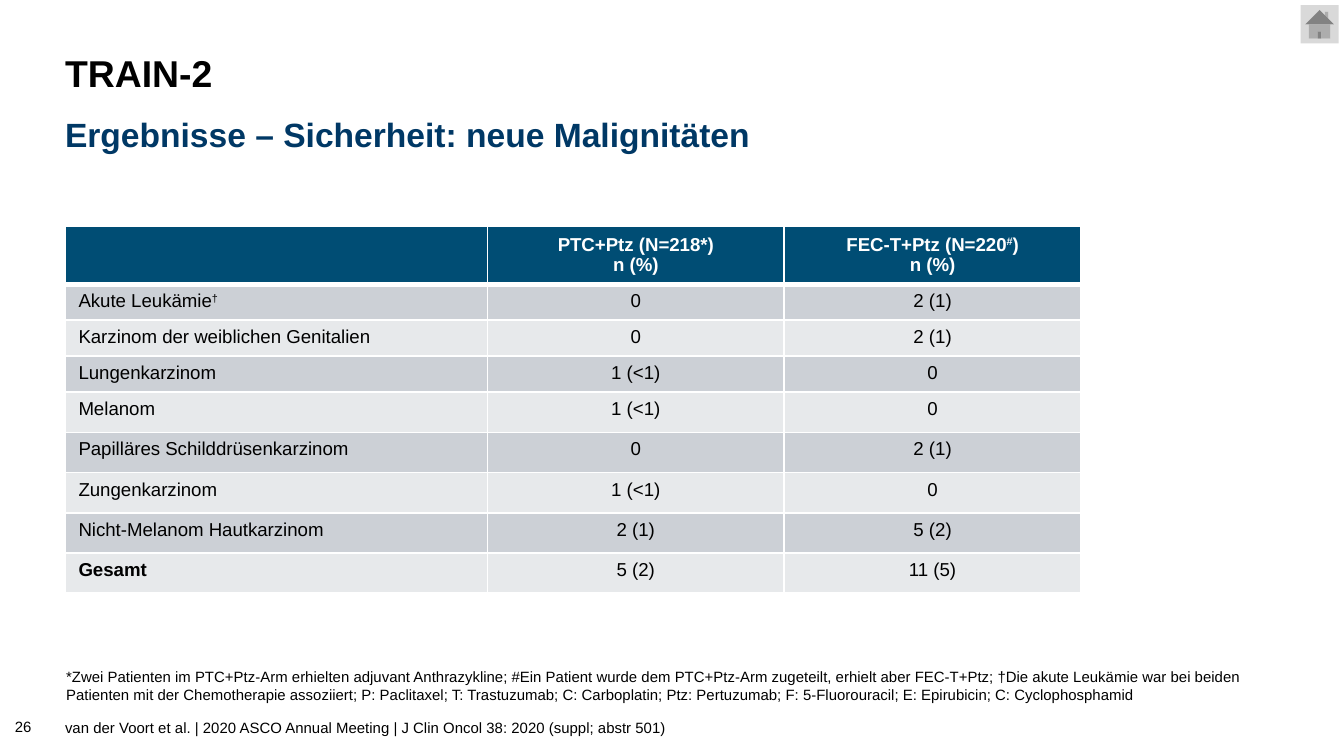
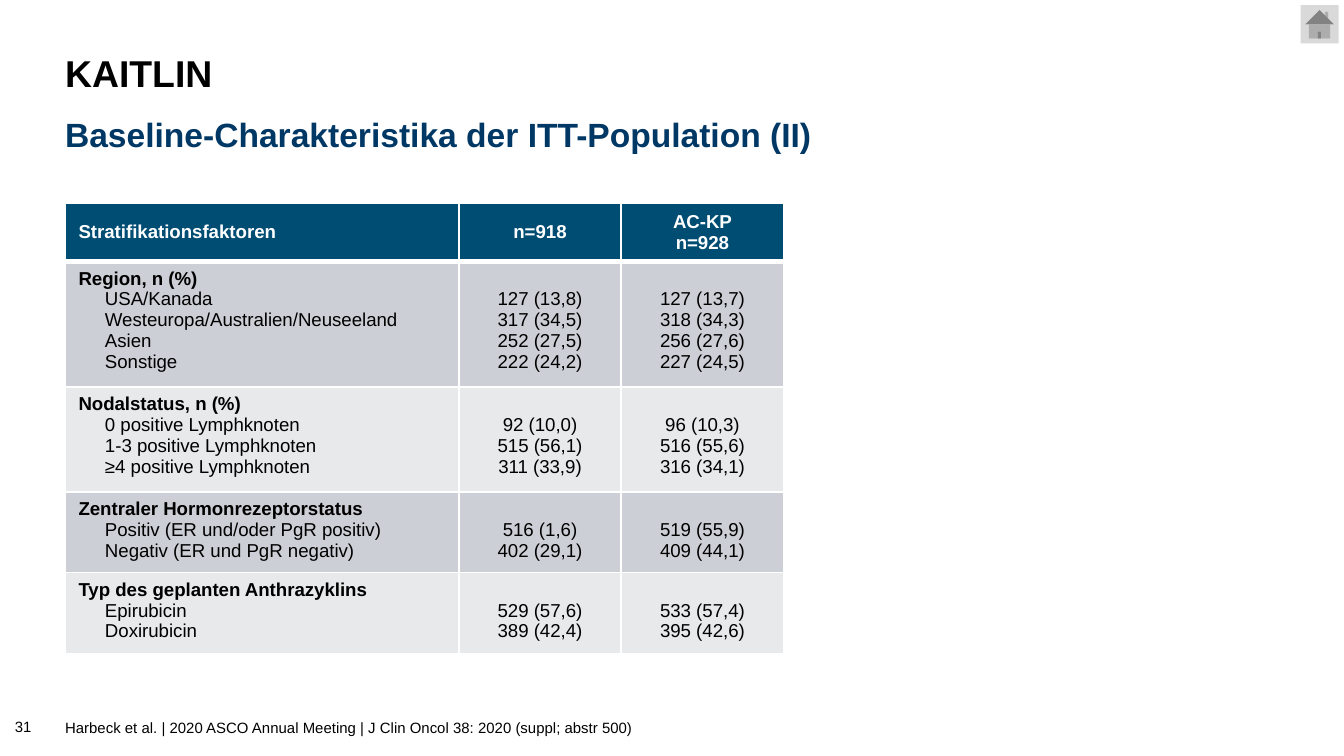
from lxml import etree
from pptx import Presentation
from pptx.dml.color import RGBColor
from pptx.enum.shapes import MSO_SHAPE
from pptx.enum.text import MSO_ANCHOR, PP_ALIGN
from pptx.oxml.ns import qn
from pptx.util import Cm, Pt

HOME = MSO_SHAPE.ACTION_BUTTON_HOME
TOP, MIDDLE, BOTTOM = MSO_ANCHOR.TOP, MSO_ANCHOR.MIDDLE, MSO_ANCHOR.BOTTOM
LEFT, CENTER = PP_ALIGN.LEFT, PP_ALIGN.CENTER

BLACK = RGBColor(0x00, 0x00, 0x00)
WHITE = RGBColor(0xFF, 0xFF, 0xFF)
NAVY = RGBColor(0x00, 0x38, 0x65)
HEADER_BLUE = RGBColor(0x00, 0x4D, 0x74)
BANDS = (RGBColor(0xCC, 0xD0, 0xD6), RGBColor(0xE7, 0xE9, 0xEB))
BUTTON_GREY = RGBColor(0xD9, 0xD9, 0xD9)

FONT = "Arial"
MARGIN = 1.23
CONTENT_WIDTH = 23.01
FRAME_INSETS = (0, 0.13, 0.25, 0.13)
CELL_INSETS = (0.25, 0.13, 0.25, 0.13)
TABLE_SIZE = 10
TABLE_LINE = 0.39


class StudyDeck:
    def __init__(self):
        self.prs = Presentation()
        self.prs.slide_width = Cm(25.4)
        self.prs.slide_height = Cm(14.29)
        self.slide = None

    def new_slide(self, study, topic, source, number):
        self.slide = self.prs.slides.add_slide(self.prs.slide_layouts[6])
        self.home_button()
        title = self.text(study, MARGIN, 0.76, CONTENT_WIDTH, 1.32, 20, bold=True, anchor=MIDDLE)
        title.paragraphs[0].line_spacing = 0.9
        self.text(topic, MARGIN, 2.03, CONTENT_WIDTH, 1, 18, NAVY, True, MIDDLE)
        self.text(source, MARGIN, 13.46, CONTENT_WIDTH, 0.64)
        self.text(number, 0.03, 13.39, 1.09, 0.64, anchor=BOTTOM, insets=CELL_INSETS)

    def home_button(self):
        button = self.slide.shapes.add_shape(HOME, Cm(24.58), Cm(0.1), Cm(0.72), Cm(0.72))
        button.shadow.inherit = False
        button.fill.solid()
        button.fill.fore_color.rgb = BUTTON_GREY
        button.line.fill.background()

    def style(self, paragraph, size, color, bold):
        for run in paragraph.runs:
            run.font.name = FONT
            run.font.size = Pt(size)
            run.font.bold = bold
            run.font.color.rgb = color

    def text(self, words, left, top, width, height, size=8, color=BLACK, bold=False,
             anchor=TOP, insets=FRAME_INSETS):
        frame = self.slide.shapes.add_textbox(Cm(left), Cm(top), Cm(width), Cm(height)).text_frame
        frame.word_wrap = True
        frame.vertical_anchor = anchor
        (frame.margin_left, frame.margin_top,
         frame.margin_right, frame.margin_bottom) = map(Cm, insets)
        frame.text = words
        self.style(frame.paragraphs[0], size, color, bold)
        return frame

    def borders(self, cell, top, bottom):
        properties = cell._tc.get_or_add_tcPr()
        for side, points in (("L", 1), ("R", 1), ("T", top), ("B", bottom)):
            line = etree.SubElement(properties, qn(f"a:ln{side}"), w=str(Pt(points)))
            fill = etree.SubElement(line, qn("a:solidFill"))
            etree.SubElement(fill, qn("a:srgbClr"), val=str(WHITE))

    def cell_lines(self, cell, lines, color, bold, align):
        frame = cell.text_frame
        frame.text = "\n".join(lines)
        for paragraph, line in zip(frame.paragraphs, lines):
            paragraph.alignment = align
            if "^" in line:
                paragraph.text = ""
                for position, part in enumerate(line.split("^")):
                    run = paragraph.add_run()
                    run.text = part
                    if position % 2:
                        run._r.get_or_add_rPr().set("baseline", "30000")
            self.style(paragraph, TABLE_SIZE, color, bold)

    def table(self, top, widths, heights, rows):
        table = self.slide.shapes.add_table(
            len(rows), len(widths), Cm(MARGIN), Cm(top), Cm(sum(widths)), Cm(sum(heights))).table
        table.horz_banding = False
        for column, width in zip(table.columns, widths):
            column.width = Cm(width)
        for r, (height, row) in enumerate(zip(heights, rows)):
            table.rows[r].height = Cm(height)
            header = r == 0
            for c, lines in enumerate(row):
                cell = table.cell(r, c)
                self.borders(cell, 3 if r == 1 else 1, 3 if header else 1)
                cell.fill.solid()
                cell.fill.fore_color.rgb = HEADER_BLUE if header else BANDS[(r - 1) % 2]
                cell.vertical_anchor = MIDDLE if header else TOP
                self.cell_lines(cell, lines, WHITE if header else BLACK, header,
                                CENTER if c else LEFT)
        return table

    def grouped_table(self, top, widths, heights, rows):
        table = self.table(top, widths, heights, rows)
        for r in range(1, len(rows)):
            group, *levels = table.cell(r, 0).text_frame.paragraphs
            self.style(group, TABLE_SIZE, BLACK, True)
            for level in levels:
                level._p.get_or_add_pPr().set("marL", str(Cm(0.5)))
            for c in range(1, len(widths)):
                table.cell(r, c).margin_top = Cm(CELL_INSETS[1] + TABLE_LINE)

    def bold_cell(self, table, row, column):
        self.style(table.cell(row, column).text_frame.paragraphs[0], TABLE_SIZE, BLACK, True)


def malignancies(deck):
    deck.new_slide("TRAIN-2", "Ergebnisse – Sicherheit: neue Malignitäten",
                   "van der Voort et al. | 2020 ASCO Annual Meeting | "
                   "J Clin Oncol 38: 2020 (suppl; abstr 501)", "26")
    deck.text("*Zwei Patienten im PTC+Ptz-Arm erhielten adjuvant Anthrazykline; "
              "#Ein Patient wurde dem PTC+Ptz-Arm zugeteilt, erhielt aber FEC-T+Ptz; "
              "†Die akute Leukämie war bei beiden Patienten mit der Chemotherapie assoziiert; "
              "P: Paclitaxel; T: Trastuzumab; C: Carboplatin; Ptz: Pertuzumab; "
              "F: 5-Fluorouracil; E: Epirubicin; C: Cyclophosphamid",
              1.25, 12.6, CONTENT_WIDTH, 0.69, anchor=BOTTOM, insets=(0, 0, 0, 0))
    counts = [
        ("Akute Leukämie^†", "0", "2 (1)"),
        ("Karzinom der weiblichen Genitalien", "0", "2 (1)"),
        ("Lungenkarzinom", "1 (<1)", "0"),
        ("Melanom", "1 (<1)", "0"),
        ("Papilläres Schilddrüsenkarzinom", "0", "2 (1)"),
        ("Zungenkarzinom", "1 (<1)", "0"),
        ("Nicht-Melanom Hautkarzinom", "2 (1)", "5 (2)"),
        ("Gesamt", "5 (2)", "11 (5)"),
    ]
    arms = [[], ["PTC+Ptz (N=218*)", "n (%)"], ["FEC-T+Ptz (N=220^#^)", "n (%)"]]
    rows = [arms] + [[[value] for value in count] for count in counts]
    table = deck.table(4.27, [7.98, 5.61, 5.61], [1.07] + [0.68] * 3 + [0.76] * 5, rows)
    deck.bold_cell(table, len(counts), 0)


def baseline(deck):
    deck.new_slide("KAITLIN", "Baseline-Charakteristika der ITT-Population (II)",
                   "Harbeck et al. | 2020 ASCO Annual Meeting | "
                   "J Clin Oncol 38: 2020 (suppl; abstr 500)", "31")
    rows = [
        [["Stratifikationsfaktoren"], ["n=918"], ["AC-KP", "n=928"]],
        [["Region, n (%)", "USA/Kanada", "Westeuropa/Australien/Neuseeland", "Asien", "Sonstige"],
         ["127 (13,8)", "317 (34,5)", "252 (27,5)", "222 (24,2)"],
         ["127 (13,7)", "318 (34,3)", "256 (27,6)", "227 (24,5)"]],
        [["Nodalstatus, n (%)", "0 positive Lymphknoten", "1-3 positive Lymphknoten",
          "≥4 positive Lymphknoten"],
         ["92 (10,0)", "515 (56,1)", "311 (33,9)"],
         ["96 (10,3)", "516 (55,6)", "316 (34,1)"]],
        [["Zentraler Hormonrezeptorstatus", "Positiv (ER und/oder PgR positiv)",
          "Negativ (ER und PgR negativ)"],
         ["516 (1,6)", "402 (29,1)"],
         ["519 (55,9)", "409 (44,1)"]],
        [["Typ des geplanten Anthrazyklins", "Epirubicin", "Doxirubicin"],
         ["529 (57,6)", "389 (42,4)"],
         ["533 (57,4)", "395 (42,6)"]],
    ]
    deck.grouped_table(3.84, [7.44, 3.07, 3.07], [1.02, 2.22, 1.98, 1.43, 1.43], rows)


def main():
    deck = StudyDeck()
    malignancies(deck)
    baseline(deck)
    deck.prs.save("out.pptx")


if __name__ == "__main__":
    main()
